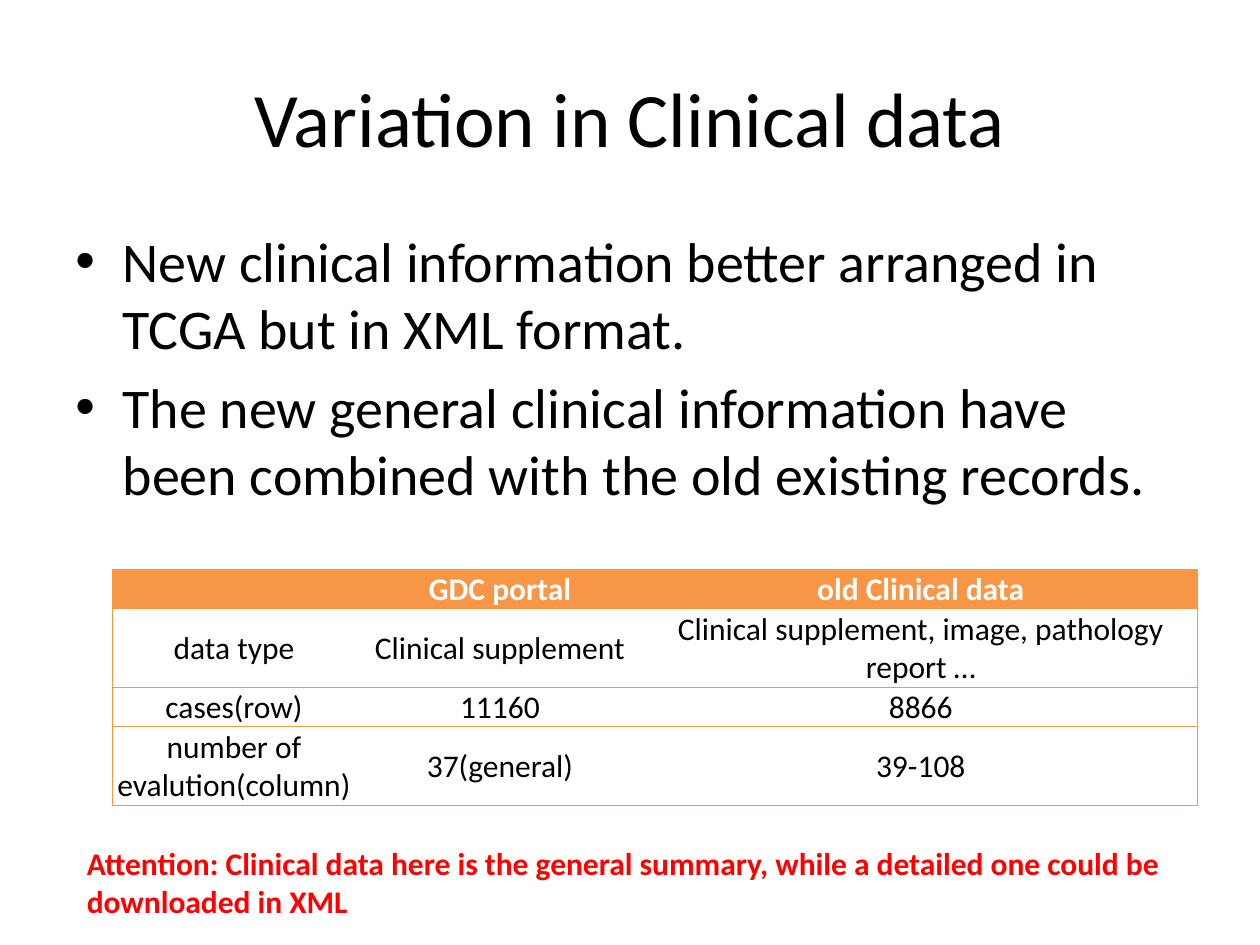
from lxml.etree import SubElement
from pptx import Presentation
from pptx.dml.color import RGBColor
from pptx.enum.text import MSO_ANCHOR, PP_ALIGN
from pptx.oxml.ns import qn
from pptx.util import Pt

BLACK = RGBColor(0x00, 0x00, 0x00)
WHITE = RGBColor(0xFF, 0xFF, 0xFF)
RED = RGBColor(0xFF, 0x00, 0x00)
ORANGE = RGBColor(0xF7, 0x96, 0x46)

ROWS = [
    ("", "GDC portal", "old Clinical data"),
    ("data type", "Clinical supplement", "Clinical supplement, image, pathology report …"),
    ("cases(row)", "11160", "8866"),
    ("number of evalution(column)", "37(general)", "39-108"),
]


class SlideBuilder:
    """Holds the text style and the current slide, and adds elements to it."""

    def __init__(self, slide, font="Calibri"):
        self.slide = slide
        self.font = font

    def style(self, p, size, color, bold=False, align=PP_ALIGN.LEFT):
        p.alignment = align
        for r in p.runs:
            r.font.name = self.font
            r.font.size = Pt(size)
            r.font.bold = bold
            r.font.color.rgb = color

    def text(self, box, text, size, color=BLACK, anchor=MSO_ANCHOR.TOP, **style):
        tf = self.slide.shapes.add_textbox(*map(Pt, box)).text_frame
        tf.word_wrap = True
        tf.vertical_anchor = anchor
        tf.text = text
        for p in tf.paragraphs:
            self.style(p, size, color, **style)
        return tf

    def bullets(self, box, items, size, indent, gap):
        tf = self.text(box, "\n".join(items), size)
        for i, p in enumerate(tf.paragraphs):
            pPr = p._p.get_or_add_pPr()
            pPr.set("marL", str(Pt(indent)))
            pPr.set("indent", str(-Pt(indent)))
            SubElement(pPr, qn("a:buFont"), typeface="Arial")
            SubElement(pPr, qn("a:buChar"), char="•")
            if i:
                p.space_before = Pt(gap)

    def border(self, cell, side, visible):
        ln = SubElement(cell._tc.get_or_add_tcPr(), qn(f"a:{side}"), w=str(Pt(0.5)))
        if visible:
            fill = SubElement(ln, qn("a:solidFill"))
            SubElement(fill, qn("a:srgbClr"), val=str(ORANGE))
        else:
            SubElement(ln, qn("a:noFill"))

    def table(self, left, top, widths, heights, rows, size):
        frame = self.slide.shapes.add_table(
            len(rows), len(widths), Pt(left), Pt(top), Pt(sum(widths)), Pt(sum(heights)))
        table = frame.table
        table.first_row = table.horz_banding = False
        for column, width in zip(table.columns, widths):
            column.width = Pt(width)
        for row, height in zip(table.rows, heights):
            row.height = Pt(height)
        last = len(widths) - 1
        for i, row in enumerate(rows):
            for j, text in enumerate(row):
                cell = table.cell(i, j)
                cell.text = text
                cell.vertical_anchor = MSO_ANCHOR.MIDDLE
                cell.margin_left = cell.margin_right = cell.margin_top = Pt(0.7)
                cell.margin_bottom = Pt(0)
                edges = {"lnL": j == 0, "lnR": j == last, "lnT": True, "lnB": True}
                for side, visible in edges.items():
                    self.border(cell, side, visible)
                if i == 0:
                    cell.fill.solid()
                    cell.fill.fore_color.rgb = ORANGE
                else:
                    cell.fill.background()
                self.style(cell.text_frame.paragraphs[0], size,
                           BLACK if i else WHITE, bold=i == 0, align=PP_ALIGN.CENTER)


def main():
    prs = Presentation()
    prs.slide_width, prs.slide_height = Pt(720), Pt(540)
    s = SlideBuilder(prs.slides.add_slide(prs.slide_layouts[6]))
    s.text((36, 21.6, 648, 90), "Variation in Clinical data", 44,
           anchor=MSO_ANCHOR.MIDDLE, align=PP_ALIGN.CENTER)
    s.bullets((36, 126, 648, 356.4), [
        "New clinical information better arranged in TCGA but in XML format.",
        "The new general clinical information have been combined with the old existing records.",
    ], size=32, indent=27, gap=6.4)
    s.table(64.2, 325.4, (139, 165, 316), (22.5, 45, 22.5, 45), ROWS, size=18)
    s.text((42.5, 478.8, 660, 51), "Attention: Clinical data here is the general summary, "
           "while a detailed one could be downloaded in XML", 18, RED, bold=True)
    prs.save("out.pptx")


if __name__ == "__main__":
    main()
